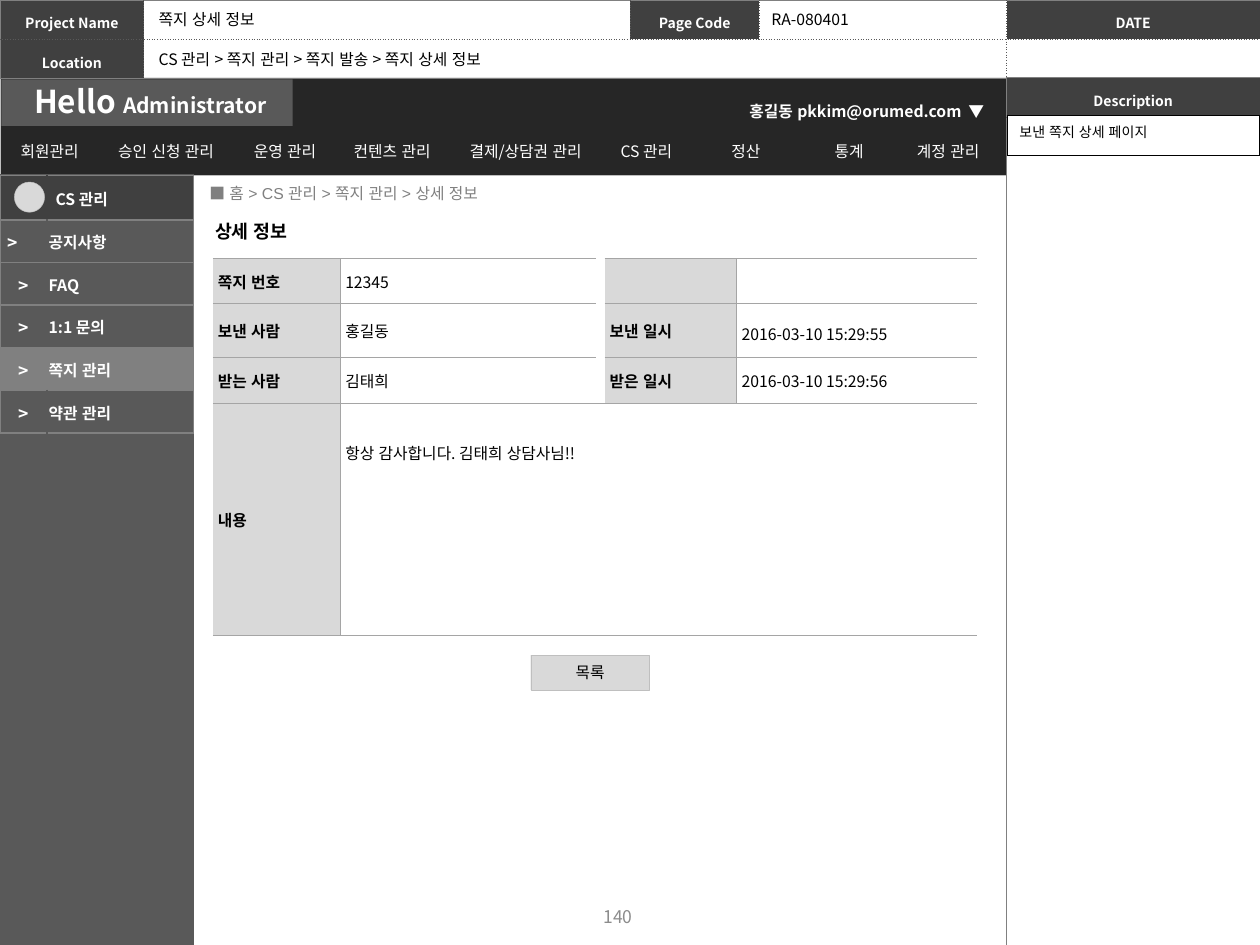
from lxml.etree import SubElement
from pptx import Presentation
from pptx.dml.color import RGBColor
from pptx.enum.lang import MSO_LANGUAGE_ID
from pptx.enum.shapes import MSO_SHAPE
from pptx.enum.text import MSO_ANCHOR, PP_ALIGN
from pptx.oxml.ns import qn
from pptx.util import Cm, Pt

FONT = "Noto Sans CJK KR"
NO_STYLE = "{2D5ABB26-0587-4C30-8999-92F81FD0307C}"
COLORS = {
    "white": "FFFFFF", "black": "000000", "bar": "262626", "dark": "404040",
    "slate": "595959", "gray": "808080", "number": "8C8C8C", "rule": "A5A5A5",
    "edge": "BFBFBF", "light": "D9D9D9",
}
LINES = {
    "dot": ("slate", 0.5, "sysDot"), "frame": ("gray", 0.5, "solid"),
    "nav": ("bar", 1, "solid"), "rule": ("rule", 0.5, "solid"),
    "note": ("black", 0.5, "solid"), "menu": ("gray", 1, "solid"),
    "slate": ("slate", 1, "solid"), "dark": ("dark", 1, "solid"),
}


def write(tf, text, size=9, color="black", bold=False, align=PP_ALIGN.LEFT,
          spacing=None, font=FONT):
    p = tf.paragraphs[0]
    p.alignment = align
    p.line_spacing = spacing
    if not text:
        p._p.get_or_add_endParaRPr().set("sz", str(size * 100))
        return
    r = p.add_run()
    r.text = text
    r.font.size = Pt(size)
    r.font.bold = bold
    r.font.language_id = MSO_LANGUAGE_ID.KOREAN
    r.font.color.rgb = RGBColor.from_string(COLORS[color])
    r.font.name = font
    SubElement(r.font._rPr, qn("a:ea")).set("typeface", FONT)


def format_cell(cell, fill, left, right, top, bottom, inset, anchor=MSO_ANCHOR.MIDDLE):
    cell.vertical_anchor = anchor
    (cell.margin_left, cell.margin_right,
     cell.margin_top, cell.margin_bottom) = [Cm(m) for m in inset]
    tc_pr = cell._tc.get_or_add_tcPr()
    for side, name in zip("LRTB", (left, right, top, bottom)):
        ln = SubElement(tc_pr, qn(f"a:ln{side}"))
        if name:
            color, width, dash = LINES[name]
            ln.set("w", str(Pt(width)))
            solid = SubElement(ln, qn("a:solidFill"))
            SubElement(solid, qn("a:srgbClr"), val=COLORS[color])
            SubElement(ln, qn("a:prstDash"), val=dash)
        else:
            SubElement(ln, qn("a:noFill"))
    if fill:
        cell.fill.solid()
        cell.fill.fore_color.rgb = RGBColor.from_string(COLORS[fill])
    else:
        cell.fill.background()


prs = Presentation()
prs.slide_width, prs.slide_height = Cm(25.4), Cm(19.05)
slide = prs.slides.add_slide(prs.slide_layouts[6])
center = {"align": PP_ALIGN.CENTER}

blocks = {
    "top bar": (MSO_SHAPE.RECTANGLE, 0, 1.57, 20.29, 1.96, "bar", "edge"),
    "title": (MSO_SHAPE.RECTANGLE, 0.03, 1.6, 5.87, 0.94, "slate", None),
    "sidebar": (MSO_SHAPE.RECTANGLE, 0, 3.51, 3.91, 15.54, "slate", None),
    "list button": (MSO_SHAPE.RECTANGLE, 10.7, 13.21, 2.39, 0.7, "light", "edge"),
    "menu dot": (MSO_SHAPE.OVAL, 0.29, 3.67, 0.61, 0.61, "light", "edge"),
}
shapes = {}
for name, (kind, x, y, w, h, fill, line) in blocks.items():
    s = slide.shapes.add_shape(kind, Cm(x), Cm(y), Cm(w), Cm(h))
    s.shadow.inherit = False
    s.fill.solid()
    s.fill.fore_color.rgb = RGBColor.from_string(COLORS[fill])
    if line:
        s.line.color.rgb = RGBColor.from_string(COLORS[line])
        s.line.width = Pt(0.25)
    else:
        s.line.fill.background()
    shapes[name] = s
shapes["list button"].text_frame.vertical_anchor = MSO_ANCHOR.MIDDLE
write(shapes["list button"].text_frame, "목록", **center)

grids = {
    "header": (0, 0, [2.9, 9.8, 2.61, 4.98, 5.11], [0.79] * 2),
    "description": (20.29, 1.57, [5.11], [0.79, 16.69]),
    "nav": (0.05, 2.64, [1.9, 2.79, 2.01, 2.31, 3.07, 1.8, 2.21, 1.96, 2.03], [0.79]),
    "detail": (4.29, 5.21, [2.57, 5.15, 0.18, 2.66, 4.85], [0.91, 1.08, 0.93, 4.68]),
    "note": (20.3, 2.32, [5.08], [0.81]),
    "menu": (0, 3.54, [0.95, 2.95], [0.89] + [0.86] * 5),
}
tables = {}
for name, (x, y, widths, heights) in grids.items():
    s = slide.shapes.add_table(len(heights), len(widths), Cm(x), Cm(y),
                               Cm(sum(widths)), Cm(sum(heights)))
    table = tables[name] = s.table
    table.first_row = table.horz_banding = False
    table._tbl.tblPr.find(qn("a:tableStyleId")).text = NO_STYLE
    for column, width in zip(table.columns, widths):
        column.width = Cm(width)
    for row, height in zip(table.rows, heights):
        row.height = Cm(height)
tables["header"].cell(1, 1).merge(tables["header"].cell(1, 3))
tables["detail"].cell(3, 1).merge(tables["detail"].cell(3, 4))

heading = {"size": 8, "color": "white", "bold": True, "spacing": 1.3, **center}
header_rows = [["Project Name", "", "Page Code", "", "DATE"],
               ["Location", "", "", "", ""]]
for i, row in enumerate(header_rows):
    for j, text in enumerate(row):
        cell = tables["header"].cell(i, j)
        format_cell(cell, "dark" if text else None,
                    "dot" if j else "frame", "frame" if j == 4 else "dot",
                    "dot" if i else "frame", "frame" if i else "dot", [0.1] * 4)
        write(cell.text_frame, text, **heading)

for i, text in enumerate(["Description", ""]):
    cell = tables["description"].cell(i, 0)
    format_cell(cell, "dark" if text else None, "frame", "frame",
                "dot" if i else "frame", "frame" if i else "dot", [0.2, 0.2, 0.1, 0.1])
    write(cell.text_frame, text, **heading)

nav_items = ["회원관리", "승인 신청 관리", "운영 관리", "컨텐츠 관리",
             "결제/상담권 관리", "CS 관리", "정산", "통계", "계정 관리"]
for j, text in enumerate(nav_items):
    cell = tables["nav"].cell(0, j)
    format_cell(cell, None, *["nav"] * 4, [0.25, 0.25, 0.13, 0.13])
    write(cell.text_frame, text, color="white", **center)

detail_rows = [
    ["쪽지 번호", "12345", "", "", ""],
    ["보낸 사람", "홍길동", "", "보낸 일시", "2016-03-10 15:29:55"],
    ["받는 사람", "김태희", "", "받은 일시", "2016-03-10 15:29:56"],
    ["내용", "항상 감사합니다. 김태희 상담사님!!", "", "", ""],
]
for i, row in enumerate(detail_rows):
    for j, text in enumerate(row):
        cell = tables["detail"].cell(i, j)
        message = i == 3 and j > 0
        label = j in (0, 3) and not message
        value = j == 1 or j == 4 and not message
        rule = None if j == 2 else "rule"
        format_cell(cell, "light" if label else "white",
                    "rule" if value else None, "rule" if label else None,
                    rule, "rule" if message else rule,
                    [0.03 if j == 2 else 0.1, 0.03, 0.62 if message else 0.03, 0],
                    MSO_ANCHOR.TOP if message else MSO_ANCHOR.MIDDLE)
        write(cell.text_frame, text, bold=label,
              spacing=1.3 if message else 1.2 if (i, j) == (1, 4) else None)

cell = tables["note"].cell(0, 0)
format_cell(cell, "white", *["note"] * 4, [0.25, 0.25, 0.13, 0.13], MSO_ANCHOR.TOP)
write(cell.text_frame, "보낸 쪽지 상세 페이지", size=8)

menu_items = ["CS 관리", "공지사항", "FAQ", "1:1 문의", "쪽지 관리", "약관 관리"]
for i, text in enumerate(menu_items):
    fill, seam = {0: ("dark", "dark"), 4: ("gray", "menu")}.get(i, ("slate", "slate"))
    marker, item = tables["menu"].cell(i, 0), tables["menu"].cell(i, 1)
    format_cell(marker, fill, "menu", seam, "menu", "menu",
                [0.03, 0.48 if i == 1 else 0.03, 0.03, 0])
    format_cell(item, fill, seam, "menu", "menu", "menu",
                [0.03 if i else 0.17, 0.03, 0.03, 0])
    write(marker.text_frame, ">" if i else "", size=10, color="white", bold=True, **center)
    write(item.text_frame, text, color="white", bold=True)
slide.shapes._spTree.append(shapes["menu dot"]._element)

user = {"color": "white", "bold": True, "spacing": 1.2}
top, middle = MSO_ANCHOR.TOP, MSO_ANCHOR.MIDDLE
labels = [
    (0.44, 1.52, 5.31, 1.02, False, top,
     [("Hello ", {"size": 18, "color": "white", "bold": True}),
      ("Administrator", {"size": 12, "color": "white", "bold": True})]),
    (14.78, 1.85, 4.93, 0.66, True, top, [("홍길동 pkkim@orumed.com", {**user, **center})]),
    (19.27, 1.85, 0.84, 0.66, False, top, [("▼", user)]),
    (3.97, 3.46, 15.54, 0.86, True, middle,
     [("■ 홈 > CS 관리 > 쪽지 관리 > 상세 정보", {"color": "gray", "font": "Arial"})]),
    (4.09, 4.32, 2.13, 0.71, False, top, [("상세 정보", {"size": 10.5, "bold": True})]),
    (2.95, 0.08, 2.67, 0.64, False, top, [("쪽지 상세 정보", {})]),
    (15.3, 0.08, 2.11, 0.64, False, top, [("RA-080401", {})]),
    (2.95, 0.87, 7.92, 0.64, False, top,
     [("CS 관리 > 쪽지 관리 > 쪽지 발송 > 쪽지 상세 정보", {})]),
    (9.5, 17.96, 5.92, 1.02, True, middle,
     [("140", {"size": 10, "color": "number", **center})]),
]
for x, y, w, h, wrap, anchor, runs in labels:
    tf = slide.shapes.add_textbox(Cm(x), Cm(y), Cm(w), Cm(h)).text_frame
    tf.word_wrap = wrap
    tf.vertical_anchor = anchor
    for text, style in runs:
        write(tf, text, **style)

prs.save("out.pptx")
